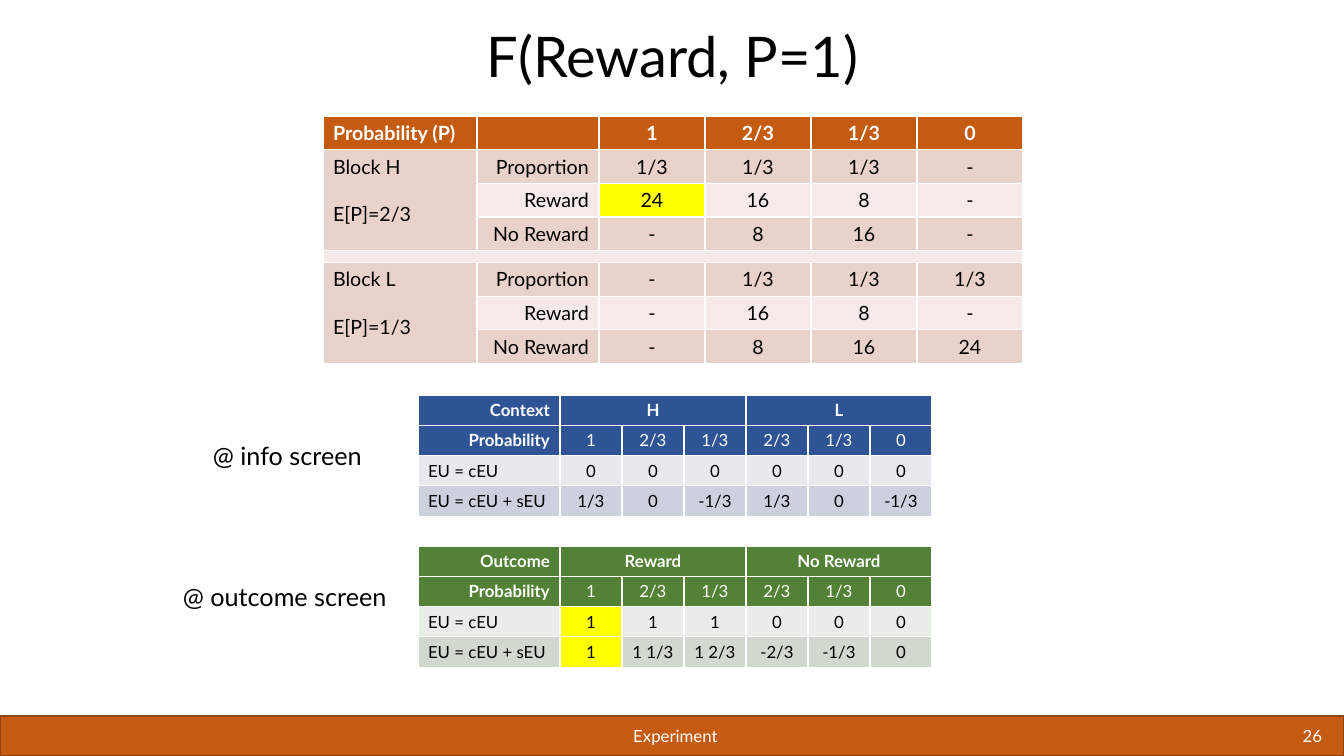
from dataclasses import dataclass

from pptx import Presentation
from pptx.dml.color import RGBColor
from pptx.enum.shapes import MSO_SHAPE
from pptx.enum.text import MSO_ANCHOR, PP_ALIGN
from pptx.util import Emu, Pt

PX_PER_INCH = 100.8
FONT = "Lato"
LEFT, CENTER, RIGHT = PP_ALIGN.LEFT, PP_ALIGN.CENTER, PP_ALIGN.RIGHT
MIDDLE, BOTTOM, TOP = MSO_ANCHOR.MIDDLE, MSO_ANCHOR.BOTTOM, MSO_ANCHOR.TOP
RECTANGLE = MSO_SHAPE.RECTANGLE

BLACK = RGBColor(0x00, 0x00, 0x00)
WHITE = RGBColor(0xFF, 0xFF, 0xFF)
YELLOW = RGBColor(0xFF, 0xFF, 0x00)
ORANGE = RGBColor(0xC5, 0x5A, 0x11)
BROWN = RGBColor(0x92, 0x43, 0x0D)
ROSE = RGBColor(0xEA, 0xD2, 0xCC)
PALE_ROSE = RGBColor(0xF5, 0xEA, 0xE7)
BLUE = RGBColor(0x2F, 0x54, 0x96)
PALE_BLUE = RGBColor(0xE8, 0xE9, 0xEF)
LIGHT_BLUE = RGBColor(0xCD, 0xD1, 0xDD)
GREEN = RGBColor(0x53, 0x81, 0x35)
PALE_GREEN = RGBColor(0xE9, 0xED, 0xE8)
LIGHT_GREEN = RGBColor(0xD1, 0xD8, 0xCE)


@dataclass(frozen=True)
class Label:
    text: str
    left: int
    top: int
    width: int
    size: int
    color: RGBColor
    align: PP_ALIGN = LEFT
    anchor: MSO_ANCHOR = TOP
    wrap: bool = True
    height: int = 40


@dataclass(frozen=True)
class TableSpec:
    left: int
    top: int
    widths: list[int]
    row_height: int
    size: int
    header_rows: int
    header_fill: RGBColor
    bands: tuple[RGBColor, RGBColor]
    header_align: PP_ALIGN
    aligns: list[PP_ALIGN]
    merges: list[tuple[int, int, int, int]]
    highlights: set[tuple[int, int]]
    rows: list[list[str]]


SEPARATOR_HEIGHT = 12
EU_WIDTHS = [142] + [62] * 6
EU_ALIGNS = [LEFT] + [CENTER] * 6
EU_MERGES = [(0, 1, 0, 3), (0, 4, 0, 6)]
EU_PROBABILITIES = ["Probability", "1", "2/3", "1/3", "2/3", "1/3", "0"]

TABLES = [
    TableSpec(
        418, 395, EU_WIDTHS, 30, 12, 2, BLUE, (PALE_BLUE, LIGHT_BLUE),
        RIGHT, EU_ALIGNS, EU_MERGES, set(),
        [
            ["Context", "H", "", "", "L", "", ""],
            EU_PROBABILITIES,
            ["EU = cEU", "0", "0", "0", "0", "0", "0"],
            ["EU = cEU + sEU", "1/3", "0", "-1/3", "1/3", "0", "-1/3"],
        ],
    ),
    TableSpec(
        418, 546, EU_WIDTHS, 30, 12, 2, GREEN, (PALE_GREEN, LIGHT_GREEN),
        RIGHT, EU_ALIGNS, EU_MERGES, {(2, 1), (3, 1)},
        [
            ["Outcome", "Reward", "", "", "No Reward", "", ""],
            EU_PROBABILITIES,
            ["EU = cEU", "1", "1", "1", "0", "0", "0"],
            ["EU = cEU + sEU", "1", "1 1/3", "1 2/3", "-2/3", "-1/3", "0"],
        ],
    ),
    TableSpec(
        323, 116, [154, 122] + [106] * 4, 33, 14, 1, ORANGE, (ROSE, PALE_ROSE),
        LEFT, [LEFT, RIGHT] + [CENTER] * 4,
        [(1, 0, 3, 0), (4, 0, 4, 5), (5, 0, 7, 0)], {(2, 2)},
        [
            ["Probability (P)", "", "1", "2/3", "1/3", "0"],
            ["Block H\nE[P]=2/3", "Proportion", "1/3", "1/3", "1/3", "-"],
            ["", "Reward", "24", "16", "8", "-"],
            ["", "No Reward", "-", "8", "16", "-"],
            [""] * 6,
            ["Block L\nE[P]=1/3", "Proportion", "-", "1/3", "1/3", "1/3"],
            ["", "Reward", "-", "16", "8", "-"],
            ["", "No Reward", "-", "8", "16", "24"],
        ],
    ),
]

LABELS = [
    Label("Experiment", 226, 716, 899, 12, WHITE, CENTER, MIDDLE),
    Label("26", 1124, 716, 208, 12, WHITE, RIGHT, MIDDLE),
    Label("@ outcome screen", 173, 576, 229, 18, BLACK, wrap=False),
    Label("@ info screen", 203, 435, 171, 18, BLACK, wrap=False),
]


def px(n: int) -> Emu:
    return Emu(round(n * 914400 / PX_PER_INCH))


def format_paragraph(p, size: int, color: RGBColor, align: PP_ALIGN, bold: bool = False) -> None:
    p.alignment = align
    p.font.name = FONT
    p.font.size = Pt(size)
    p.font.bold = bold
    p.font.color.rgb = color


def add_title(slide, text: str) -> None:
    title = slide.shapes.title
    title.left, title.top, title.width, title.height = px(67), px(23), px(1211), px(72)
    tf = title.text_frame
    tf.text = text
    tf.vertical_anchor = BOTTOM
    p = tf.paragraphs[0]
    p.line_spacing = 0.9
    format_paragraph(p, 40, BLACK, CENTER)


def add_footer_bar(slide) -> None:
    bar = slide.shapes.add_shape(RECTANGLE, 0, px(716), px(1344), px(40))
    bar.shadow.inherit = False
    bar.fill.solid()
    bar.fill.fore_color.rgb = ORANGE
    bar.line.color.rgb = BROWN
    bar.line.width = Pt(1)


def add_label(slide, label: Label) -> None:
    box = slide.shapes.add_textbox(px(label.left), px(label.top), px(label.width), px(label.height))
    tf = box.text_frame
    tf.text = label.text
    tf.word_wrap = label.wrap
    tf.vertical_anchor = label.anchor
    format_paragraph(tf.paragraphs[0], label.size, label.color, label.align)


def add_data_table(slide, spec: TableSpec) -> None:
    """Draw a table; a row without any text becomes a thin separator."""
    heights = [spec.row_height if any(row) else SEPARATOR_HEIGHT for row in spec.rows]
    table = slide.shapes.add_table(
        len(heights), len(spec.widths), px(spec.left), px(spec.top),
        px(sum(spec.widths)), px(sum(heights)),
    ).table
    for column, width in zip(table.columns, spec.widths):
        column.width = px(width)
    for r, row in enumerate(spec.rows):
        table.rows[r].height = px(heights[r])
        header = r < spec.header_rows
        band = spec.header_fill if header else spec.bands[(r - spec.header_rows) % 2]
        size = spec.size if any(row) else 1
        for c, text in enumerate(row):
            cell = table.cell(r, c)
            cell.text = text
            cell.fill.solid()
            cell.fill.fore_color.rgb = YELLOW if (r, c) in spec.highlights else band
            align = spec.header_align if header and c == 0 else spec.aligns[c]
            bold = r == 0 or (header and c == 0)
            for i, p in enumerate(cell.text_frame.paragraphs):
                format_paragraph(p, size, WHITE if header else BLACK, align, bold)
                if i:
                    p.space_before = Pt(17)
    for top, left, bottom, right in spec.merges:
        table.cell(top, left).merge(table.cell(bottom, right))


def main() -> None:
    prs = Presentation()
    prs.slide_width, prs.slide_height = px(1344), px(756)
    slide = prs.slides.add_slide(prs.slide_layouts[5])
    add_title(slide, "F(Reward, P=1)")
    add_footer_bar(slide)
    for spec in TABLES:
        add_data_table(slide, spec)
    for label in LABELS:
        add_label(slide, label)
    prs.save("out.pptx")


if __name__ == "__main__":
    main()
